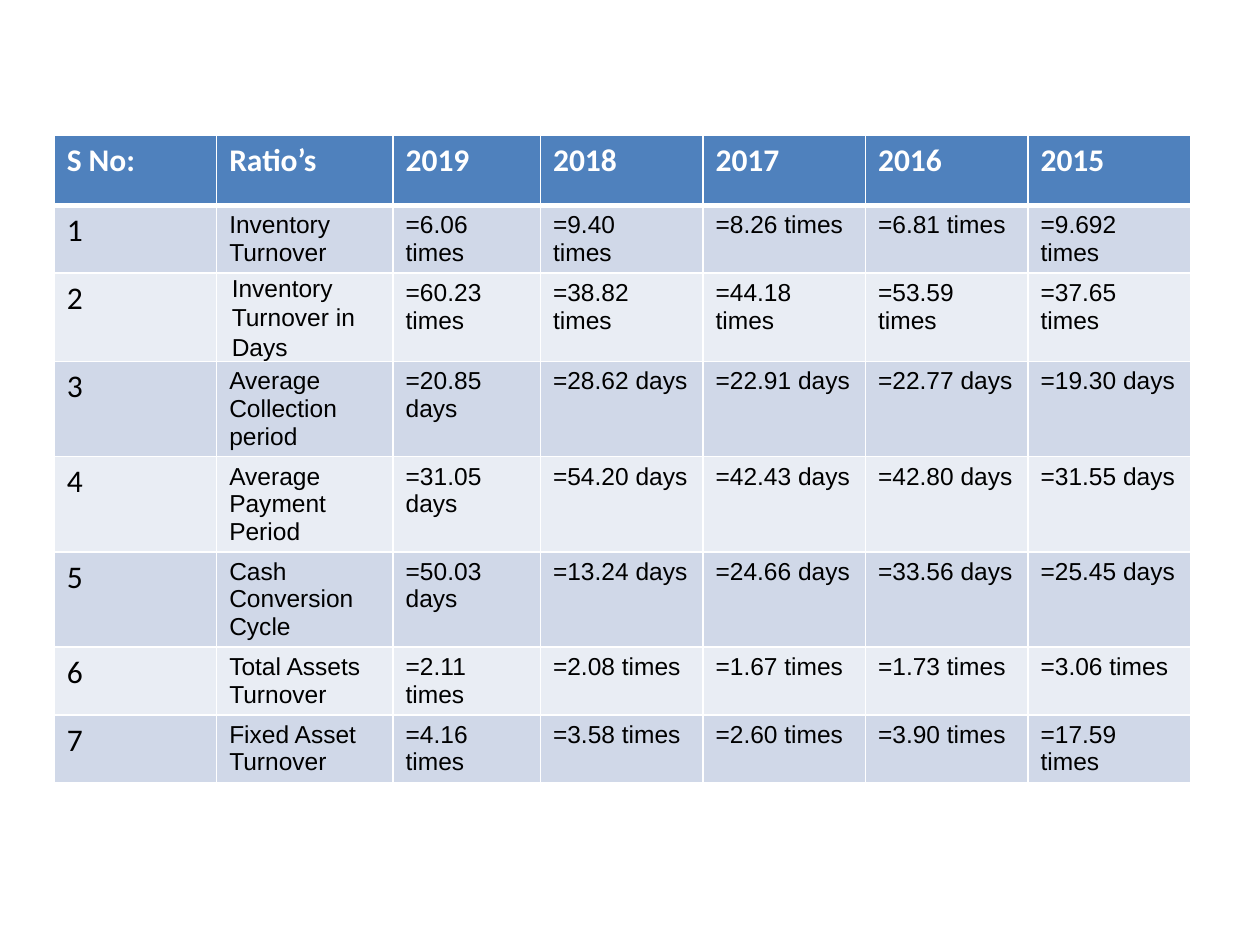
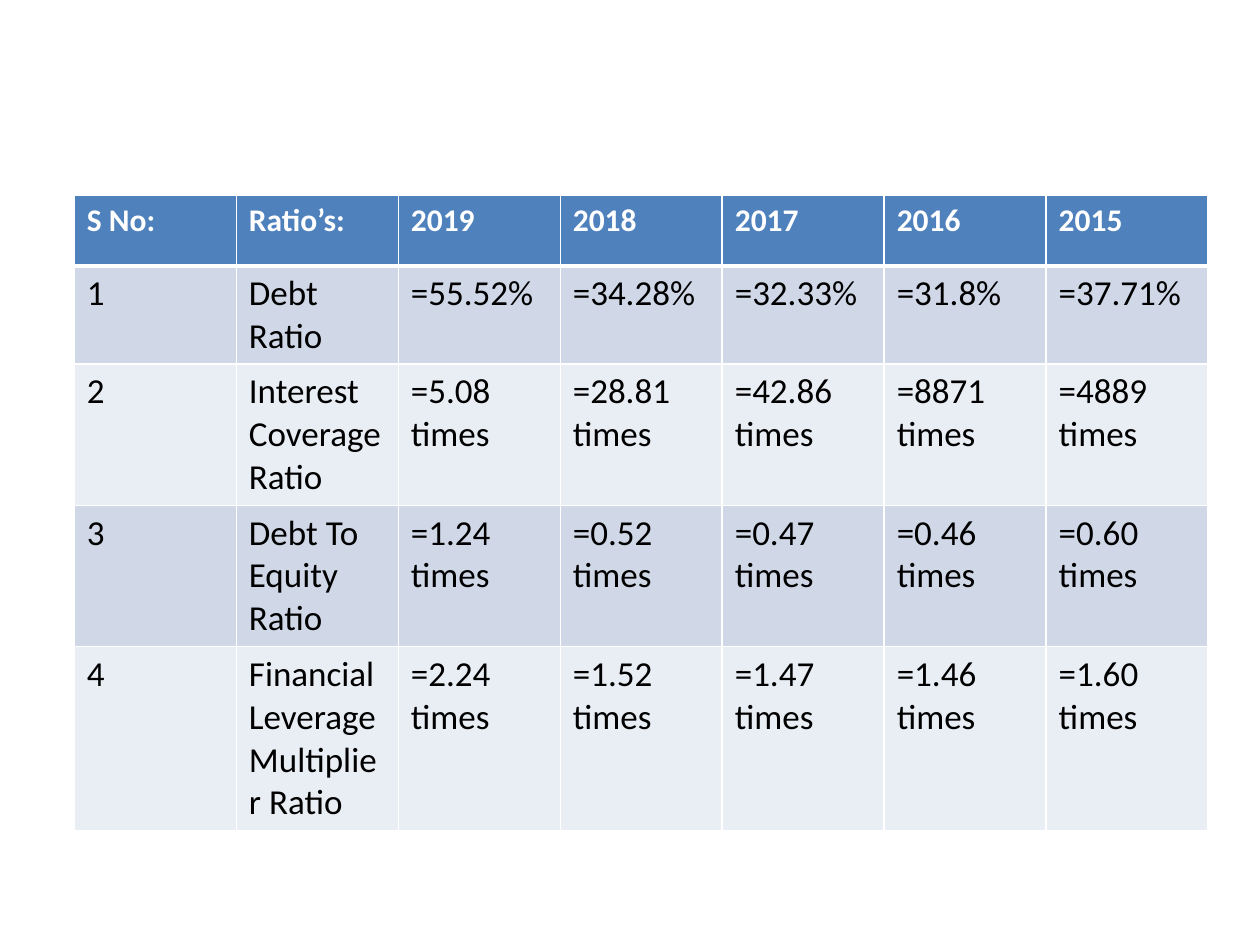
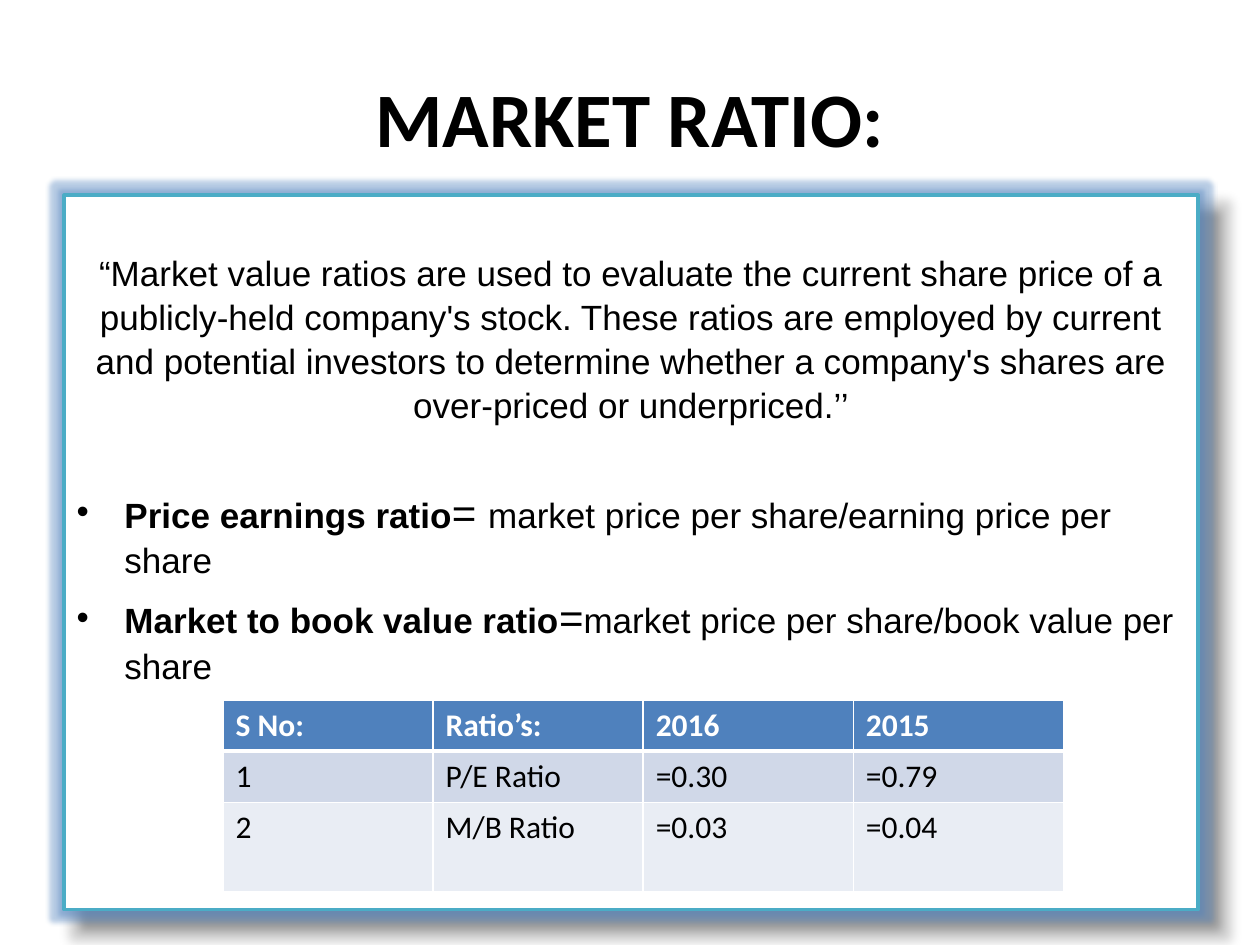
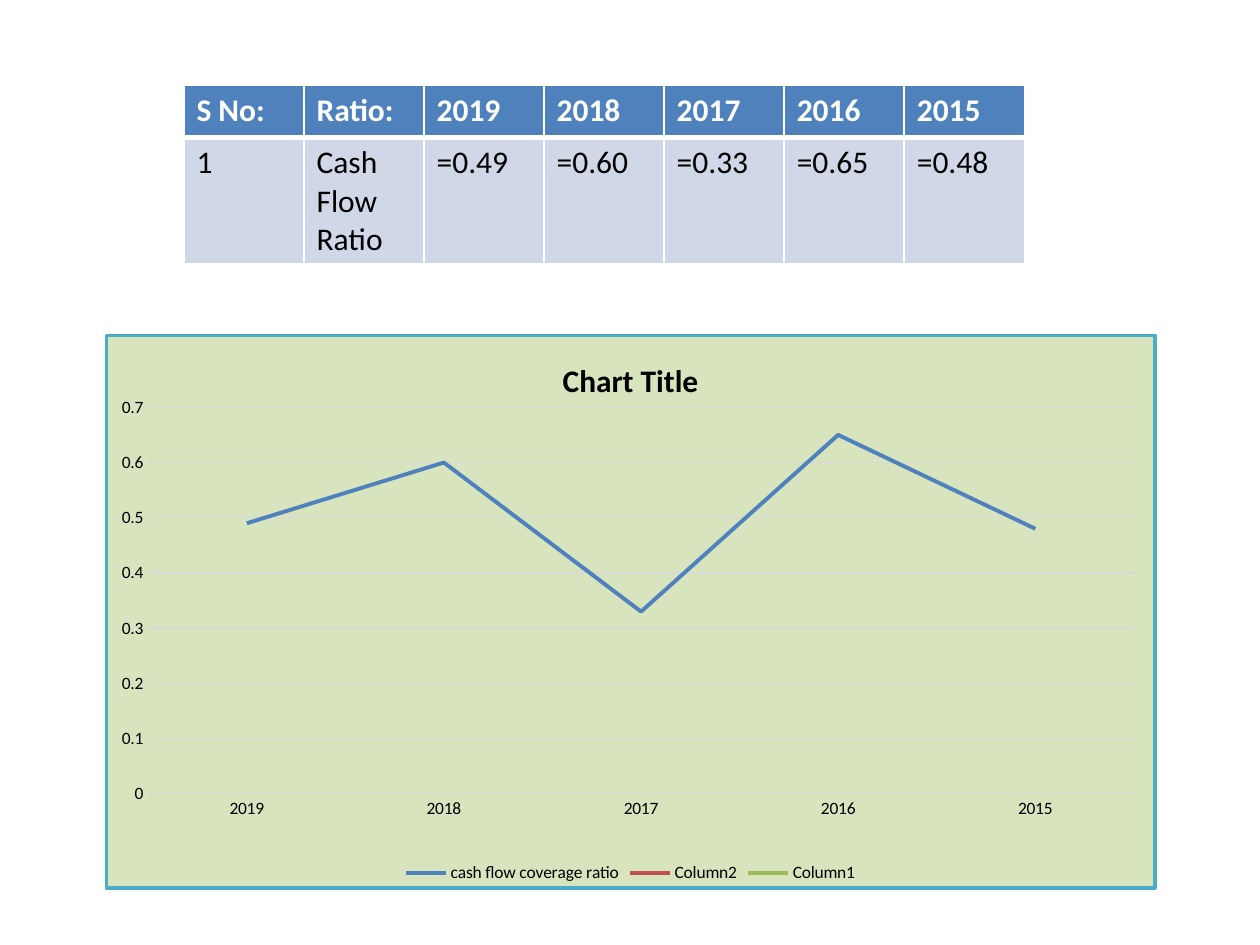
from pptx import Presentation
from pptx.chart.data import CategoryChartData
from pptx.dml.color import RGBColor
from pptx.enum.chart import XL_CHART_TYPE, XL_LEGEND_POSITION, XL_TICK_MARK
from pptx.enum.shapes import MSO_SHAPE
from pptx.enum.text import MSO_ANCHOR, PP_ALIGN
from pptx.oxml import parse_xml
from pptx.oxml.ns import nsdecls, qn
from pptx.util import Inches, Pt
from lxml.etree import SubElement

BLUE, TEAL, RED, GREEN = "4F81BD", "4BACC6", "C0504D", "9BBB59"
WHITE, BLACK, GRID, PALE_GREEN = "FFFFFF", "000000", "D9D9D9", "D7E4BD"
BANDS = ("D0D8E8", "E9EDF4")
HEAD, BODY, SMALL = ("Calibri", 18), ("Calibri", 20), ("Arial", 14)
YEARS = ("2019", "2018", "2017", "2016", "2015")


def rgb(value):
    """Turn a hex string into a colour."""
    return RGBColor.from_string(value)


def set_font(font, name, size, color=BLACK, bold=False):
    """Set the look of a font."""
    font.name, font.size, font.bold = name, Pt(size), bold
    font.color.rgb = rgb(color)


def add_run(p, text, name, size, color=BLACK, bold=False):
    """Add one formatted run to a paragraph."""
    r = p.add_run()
    r.text = text
    set_font(r.font, name, size, color, bold)


def set_borders(cell, bottom):
    """Draw white cell borders with the given bottom width."""
    tc_pr = cell._tc.get_or_add_tcPr()
    for side, width in (("L", 1), ("R", 1), ("T", 1), ("B", bottom)):
        ln = SubElement(tc_pr, qn(f"a:ln{side}"), w=str(Pt(width)))
        fill = SubElement(ln, qn("a:solidFill"))
        SubElement(fill, qn("a:srgbClr"), val=WHITE)


def fill_cell(cell, text, face, fill, color=BLACK, bold=False, bottom=1):
    """Style a table cell and write its lines."""
    set_borders(cell, bottom)
    cell.fill.solid()
    cell.fill.fore_color.rgb = rgb(fill)
    tf = cell.text_frame
    for i, line in enumerate(text.split("\n")):
        p = tf.add_paragraph() if i else tf.paragraphs[0]
        add_run(p, line, *face, color, bold)


def add_ratio_table(slide, box, header, rows, heights, number=HEAD, body=HEAD, widths=None):
    """Add a banded table whose rows are numbered in the first column."""
    x, y, w, h = box
    n = len(header)
    frame = slide.shapes.add_table(len(rows) + 1, n, Inches(x), Inches(y), Inches(w), Inches(h))
    tb = frame.table
    for col, width in zip(tb.columns, widths or [w / n] * n):
        col.width = Inches(width)
    for row, height in zip(tb.rows, heights):
        row.height = Inches(height)
    for j, text in enumerate(header):
        fill_cell(tb.cell(0, j), text, HEAD, BLUE, WHITE, True, 3)
    for i, row in enumerate(rows, 1):
        for j, text in enumerate((str(i), *row)):
            fill_cell(tb.cell(i, j), text, body if j else number, BANDS[(i - 1) % 2])
    frame.height = Inches(h)
    return tb


def activity_slide(slide):
    """Build the table of turnover and cycle ratios."""
    rows = [
        ("Inventory Turnover", "=6.06 times", "=9.40\ntimes", "=8.26 times", "=6.81 times", "=9.692 times"),
        ("Inventory Turnover in Days", "=60.23 times", "=38.82 times", "=44.18 times", "=53.59 times",
         "=37.65 times"),
        ("Average Collection period", "=20.85 days", "=28.62 days", "=22.91 days", "=22.77 days", "=19.30 days"),
        ("Average Payment Period", "=31.05 days", "=54.20 days", "=42.43 days", "=42.80 days", "=31.55 days"),
        ("Cash Conversion Cycle", "=50.03 days", "=13.24 days", "=24.66 days", "=33.56 days", "=25.45 days"),
        ("Total Assets Turnover", "=2.11 times", "=2.08 times", "=1.67 times", "=1.73 times", "=3.06 times"),
        ("Fixed Asset Turnover", "=4.16 times", "=3.58 times", "=2.60 times", "=3.90 times", "=17.59 times"),
    ]
    tb = add_ratio_table(slide, (0.43, 1.07, 9, 5.41), ("S No:", "Ratio’s", *YEARS), rows,
                         [0.56] + [0.41] * 7, body=SMALL, widths=[1.29, 1.4, 1.17] + [1.29] * 4)
    cell = tb.cell(2, 1)
    cell.margin_left = cell.margin_right = Inches(0.12)
    cell.margin_top = cell.margin_bottom = 0
    p = cell.text_frame.paragraphs[0]
    p.line_spacing, p.space_after = 1.07, Pt(8)


def debt_slide(slide):
    """Build the table of debt ratios."""
    rows = [
        ("Debt Ratio", "=55.52%", "=34.28%", "=32.33%", "=31.8%", "=37.71%"),
        ("Interest Coverage Ratio", "=5.08 times", "=28.81 times", "=42.86 times", "=8871 times", "=4889 times"),
        ("Debt To Equity Ratio", "=1.24 times", "=0.52 times", "=0.47 times", "=0.46 times", "=0.60 times"),
        ("Financial Leverage Multiplier Ratio", "=2.24 times", "=1.52 times", "=1.47 times", "=1.46 times",
         "=1.60 times"),
    ]
    add_ratio_table(slide, (0.59, 1.55, 9, 4.96), ("S No:", "Ratio’s:", *YEARS), rows,
                    [0.56, 0.49, 0.41, 0.41, 1.04], BODY, BODY)


def add_title(slide, box, text):
    """Add a centred bold slide title."""
    tf = slide.shapes.add_textbox(*map(Inches, box)).text_frame
    tf.word_wrap, tf.vertical_anchor = True, MSO_ANCHOR.MIDDLE
    p = tf.paragraphs[0]
    p.alignment = PP_ALIGN.CENTER
    add_run(p, text, "Calibri", 44, bold=True)


def add_glow_and_shadow(sp):
    """Give a shape a blue glow and a soft offset shadow."""
    sp.shadow.inherit = False
    effects = sp._element.spPr.find(qn("a:effectLst"))
    glow = SubElement(effects, qn("a:glow"), rad=str(Pt(5)))
    shadow = SubElement(effects, qn("a:outerShdw"), blurRad=str(Pt(5)), dist=str(Pt(15)),
                        dir="2700000", algn="tl", rotWithShape="0")
    for effect, color in ((glow, BLUE), (shadow, BLACK)):
        clr = SubElement(effect, qn("a:srgbClr"), val=color)
        SubElement(clr, qn("a:alpha"), val="40000")


def add_definitions(slide, box, quote, formulas):
    """Add a framed panel with a quotation and bulleted formulas."""
    sp = slide.shapes.add_shape(MSO_SHAPE.RECTANGLE, *map(Inches, box))
    sp.fill.solid()
    sp.fill.fore_color.rgb = rgb(WHITE)
    sp.line.color.rgb, sp.line.width = rgb(TEAL), Pt(2)
    add_glow_and_shadow(sp)
    tf = sp.text_frame
    tf.word_wrap, tf.vertical_anchor = True, MSO_ANCHOR.TOP
    tf.margin_top = Inches(0.43)
    p = tf.paragraphs[0]
    p.alignment, p.line_spacing = PP_ALIGN.CENTER, 1.05
    add_run(p, quote, "Arial", 20)
    for (name, equals, formula), gap in zip(formulas, (33, 5)):
        p = tf.add_paragraph()
        p.alignment, p.line_spacing, p.space_before = PP_ALIGN.LEFT, 1.05, Pt(gap)
        p_pr = p._p.get_or_add_pPr()
        p_pr.set("marL", str(Inches(0.38)))
        p_pr.set("indent", str(-Inches(0.38)))
        SubElement(p_pr, qn("a:buFont"), typeface="Arial")
        SubElement(p_pr, qn("a:buChar"), char="•")
        add_run(p, name, "Arial", 20, bold=True)
        add_run(p, equals, "Arial", 24)
        add_run(p, formula, "Arial", 20)


def market_slide(slide):
    """Build the market ratio definitions and their table."""
    add_title(slide, (0.5, 0.3, 9, 1.25), "MARKET RATIO:")
    quote = ("“Market value ratios are used to evaluate the current share price of a publicly-held "
             "company's stock. These ratios are employed by current and potential investors to "
             "determine whether a company's shares are over-priced or underpriced.’’")
    add_definitions(slide, (0.51, 1.55, 9, 5.67), quote, [
        ("Price earnings ratio", "= ", "market price per share/earning price per share"),
        ("Market to book value ratio", "=", "market price per share/book value per share"),
    ])
    rows = [("P/E Ratio", "=0.30", "=0.79"), ("M/B Ratio", "=0.03", "=0.04")]
    add_ratio_table(slide, (1.77, 5.56, 6.67, 1.52), ("S No:", "Ratio’s:", *YEARS[3:]), rows,
                    [0.4, 0.41, 0.71])


def frame_chart(chart, plot):
    """Set the chart's background, border and inner plot area."""
    space = chart._chartSpace
    space.chart.addnext(parse_xml(
        f'<c:spPr {nsdecls("c", "a")}><a:solidFill><a:srgbClr val="{PALE_GREEN}"/></a:solidFill>'
        f'<a:ln w="{Pt(2)}"><a:solidFill><a:srgbClr val="{TEAL}"/></a:solidFill></a:ln></c:spPr>'))
    area = space.chart.plotArea
    for old in area.findall(qn("c:layout")):
        area.remove(old)
    layout = SubElement(area, qn("c:layout"))
    area.insert(0, layout)
    manual = SubElement(layout, qn("c:manualLayout"))
    parts = [("layoutTarget", "inner"), ("xMode", "edge"), ("yMode", "edge"), *zip("xywh", plot)]
    for tag, value in parts:
        SubElement(manual, qn(f"c:{tag}"), val=str(value))


def add_line_chart(slide, box, title, series):
    """Add a framed line chart over the years."""
    data = CategoryChartData()
    data.categories = YEARS
    for name, values, _ in series:
        data.add_series(name, values)
    chart = slide.shapes.add_chart(XL_CHART_TYPE.LINE, *map(Inches, box), data).chart
    set_font(chart.font, "Calibri", 10)
    chart.has_title = True
    add_run(chart.chart_title.text_frame.paragraphs[0], title, "Calibri", 18, bold=True)
    chart.chart_title.include_in_layout = False
    chart.has_legend = True
    chart.legend.position = XL_LEGEND_POSITION.BOTTOM
    chart.legend.include_in_layout = False
    chart.plots[0].vary_by_categories = False
    for s, (_, _, color) in zip(chart.plots[0].series, series):
        s.smooth = False
        s.format.line.color.rgb, s.format.line.width = rgb(color), Pt(2.25)
    cat, val = chart.category_axis, chart.value_axis
    for axis in (cat, val):
        axis.major_tick_mark = axis.minor_tick_mark = XL_TICK_MARK.NONE
    val.minimum_scale, val.maximum_scale, val.major_unit = 0, 0.7, 0.1
    val.format.line.fill.background()
    for line in (cat.format.line, val.major_gridlines.format.line):
        line.color.rgb, line.width = rgb(GRID), Pt(0.75)
    frame_chart(chart, (0.04, 0.13, 0.94, 0.7))


def cash_flow_slide(slide):
    """Build the cash flow table and its chart."""
    values = (0.49, 0.60, 0.33, 0.65, 0.48)
    add_line_chart(slide, (0.83, 2.65, 8.35, 4.41), "Chart Title", [
        ("cash flow coverage ratio", values, BLUE),
        ("Column2", [None] * 5, RED),
        ("Column1", [None] * 5, GREEN),
    ])
    add_ratio_table(slide, (1.46, 0.68, 6.67, 1.41), ("S No:", "Ratio:", *YEARS),
                    [("Cash Flow Ratio", *(f"={v:.2f}" for v in values))], [0.41, 0.7])


def main():
    """Build and save the presentation."""
    prs = Presentation()
    prs.slide_width, prs.slide_height = Inches(10), Inches(7.5)
    for build in (activity_slide, debt_slide, market_slide, cash_flow_slide):
        build(prs.slides.add_slide(prs.slide_layouts[6]))
    prs.save("out.pptx")


if __name__ == "__main__":
    main()
